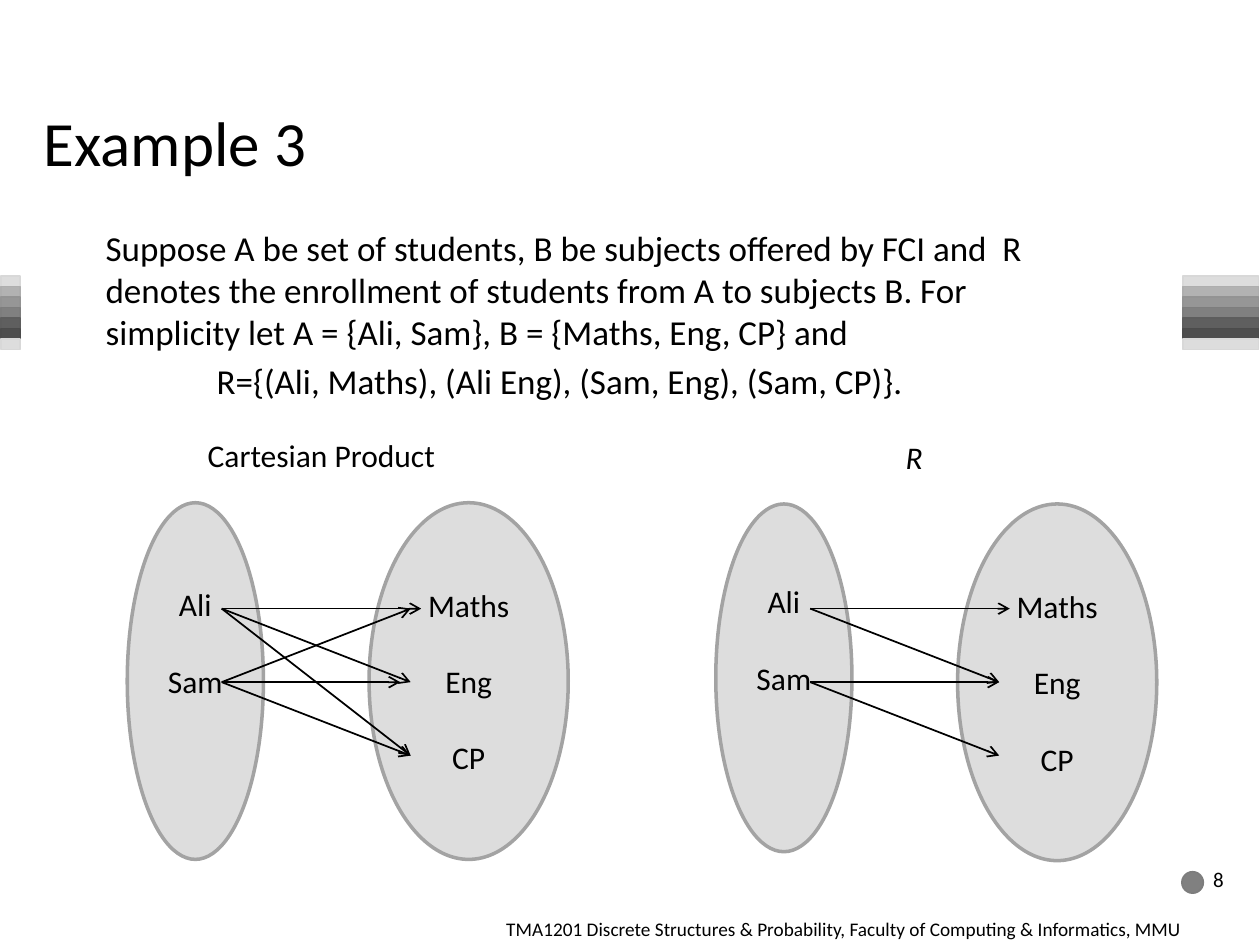
import pptx
import pptx.chart.data
import pptx.dml.color
import pptx.enum.shapes
import pptx.enum.text
import pptx.oxml.ns
import pptx.util
from lxml import etree

Pt = pptx.util.Pt
SHAPE = pptx.enum.shapes.MSO_SHAPE
ANCHOR = pptx.enum.text.MSO_ANCHOR
ALIGN = pptx.enum.text.PP_ALIGN

COLORS = {"text": "000000", "set": "DDDDDD", "outline": "A3A3A3",
          "dot": "808080", "dot_line": "7D7D7D"}
STRIPES = [("DDDDDD", "D8D8D8"), ("B2B2B2", "AEAEAE"), ("969696", "939393"),
           ("808080", "7D7D7D"), ("5F5F5F", "5D5D5D"), ("4D4D4D", "4B4B4B"),
           ("DDDDDD", "D8D8D8")]
STRIPE_BARS = [(0.7, 10.8), (676, 43.2)]
STRIPE_TOP, STRIPE_H = 157.7, 6

BODY = ["Suppose A be set of students, B be subjects offered by FCI and  R denotes "
        "the enrollment of students from A to subjects B. For simplicity let "
        "A = {Ali, Sam}, B = {Maths, Eng, CP} and",
        "R={(Ali, Maths), (Ali Eng), (Sam, Eng), (Sam, CP)}."]
FOOTER = ("TMA1201 Discrete Structures & Probability, "
          "Faculty of Computing & Informatics, MMU")
STUDENTS = ["Ali", "Sam"]
SUBJECTS = ["Maths", "Eng", "CP"]
DIAGRAMS = [
    {"left": 72.7, "top": 287.3, "student_h": 203.8,
     "label": ("Cartesian Product", (111.6, 245.5, 159, 29), False),
     "arrows": [("Ali", "Maths", 114), ("Ali", "Eng", 108), ("Ali", "CP", 108),
                ("Sam", "Maths", 108), ("Sam", "Eng", 102), ("Sam", "CP", 108)]},
    {"left": 409, "top": 288, "student_h": 198.7,
     "label": ("R", (510.5, 247, 24.5, 29), True),
     "arrows": [("Ali", "Maths", 114), ("Ali", "Eng", 108),
                ("Sam", "CP", 108), ("Sam", "Eng", 108)]},
]
ARROW_X, ARROW_Y, ARROW_PITCH = 54, 347.8, 42
LINE_H = 22


def rgb(value):
    return pptx.dml.color.RGBColor.from_string(value)


def add_shape(kind, box, fill, line, width=1):
    sp = s.shapes.add_shape(kind, *map(Pt, box))
    sp.shadow.inherit = False
    sp.fill.solid()
    sp.fill.fore_color.rgb = rgb(fill)
    sp.line.color.rgb = rgb(line)
    sp.line.width = Pt(width)
    return sp


def add_text(lines, box=None, sp=None, size=18, italic=False, align=ALIGN.LEFT,
             anchor=ANCHOR.TOP, wrap=True, gap=0, bottom=3.6):
    sp = sp or s.shapes.add_textbox(*map(Pt, box))
    tf = sp.text_frame
    tf.word_wrap = wrap
    tf.vertical_anchor = anchor
    tf.margin_bottom = Pt(bottom)
    for i, line in enumerate(lines):
        p = tf.paragraphs[0] if i == 0 else tf.add_paragraph()
        p.alignment = align
        if i:
            p.space_before = Pt(gap)
        r = p.add_run()
        r.text = line
        r.font.name = "Calibri"
        r.font.size = Pt(size)
        r.font.italic = italic
        r.font.color.rgb = rgb(COLORS["text"])
    return sp


def add_set(words, box, bottom=3.6):
    sp = add_shape(SHAPE.OVAL, box, COLORS["set"], COLORS["outline"], 2)
    add_text(words, sp=sp, align=ALIGN.CENTER, anchor=ANCHOR.MIDDLE,
             gap=LINE_H, bottom=bottom)


def add_arrow(x1, y1, x2, y2):
    c = s.shapes.add_connector(pptx.enum.shapes.MSO_CONNECTOR.STRAIGHT,
                               Pt(x1), Pt(y1), Pt(x2), Pt(y2))
    c.line.color.rgb = rgb(COLORS["text"])
    c.line.width = Pt(1)
    qn = pptx.oxml.ns.qn
    etree.SubElement(c.line._get_or_add_ln(), qn("a:tailEnd"), type="arrow")
    etree.SubElement(c._element.spPr, qn("a:effectLst"))


def add_diagram(left, top, student_h, label, arrows):
    add_set(STUDENTS, (left, top, 77.8, student_h), bottom=3.6 + 2 * LINE_H)
    add_set(SUBJECTS, (left + 138.2, top, 113.8, 203.8))
    x = left + ARROW_X
    for student, subject, length in arrows:
        y1, y2 = (ARROW_Y + ARROW_PITCH * i for i in
                  (STUDENTS.index(student), SUBJECTS.index(subject)))
        add_arrow(x, y1, x + length, y2)
    caption, box, italic = label
    add_text([caption], box, italic=italic, wrap=False)


prs = pptx.Presentation()
prs.slide_width, prs.slide_height = Pt(720), Pt(540)
s = prs.slides.add_slide(prs.slide_layouts[6])

for left, width in STRIPE_BARS:
    for i, (fill, line) in enumerate(STRIPES):
        add_shape(SHAPE.RECTANGLE, (left, STRIPE_TOP + i * STRIPE_H, width, STRIPE_H),
                  fill, line)
add_shape(SHAPE.OVAL, (675.4, 498.2, 12.2, 12.2), COLORS["dot"], COLORS["dot_line"])

add_text(["Example 3"], (18, 36, 648, 90), size=36, anchor=ANCHOR.MIDDLE)
add_text(["8"], (686.2, 484.6, 33.8, 36), size=12, anchor=ANCHOR.MIDDLE)
add_text([FOOTER], (282.2, 520.6, 437.8, 19.4), size=11)
body = add_text(BODY, (53.3, 126, 588.2, 332.6), size=20, gap=4)
body.text_frame.paragraphs[1]._p.get_or_add_pPr().set("marL", str(Pt(63.4)))

for diagram in DIAGRAMS:
    add_diagram(**diagram)

prs.save("out.pptx")
